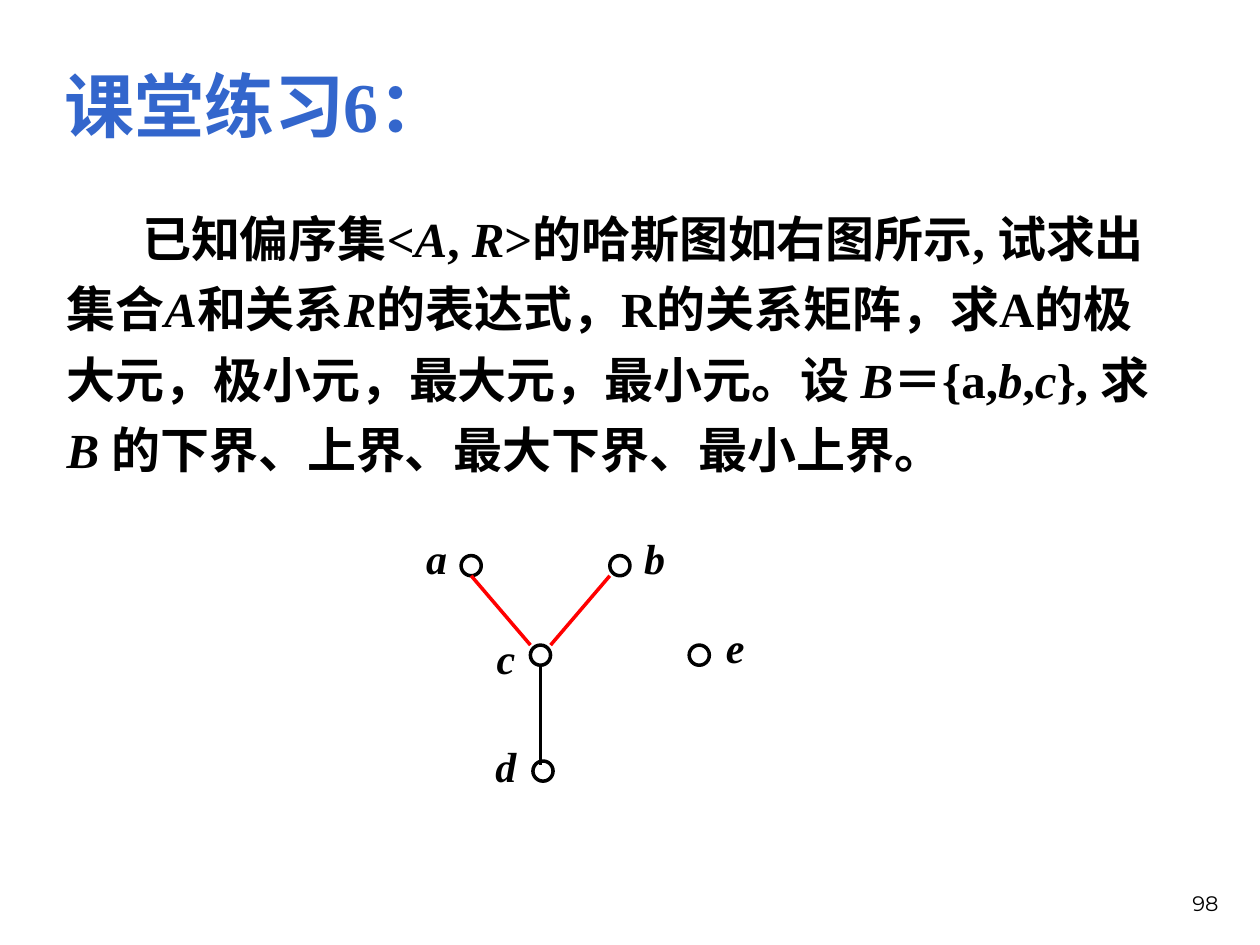
"""Build a class exercise slide with a Hasse diagram."""
from dataclasses import dataclass

from lxml import etree
from pptx import Presentation
from pptx.dml.color import RGBColor
from pptx.enum.shapes import MSO_CONNECTOR, MSO_SHAPE
from pptx.enum.text import MSO_ANCHOR, MSO_AUTO_SIZE, PP_ALIGN
from pptx.oxml.ns import qn
from pptx.util import Inches, Pt

TOP, BOTTOM = MSO_ANCHOR.TOP, MSO_ANCHOR.BOTTOM
LEFT, CENTER, RIGHT = PP_ALIGN.LEFT, PP_ALIGN.CENTER, PP_ALIGN.RIGHT
NO_AUTOFIT = MSO_AUTO_SIZE.NONE
STRAIGHT = MSO_CONNECTOR.STRAIGHT
ELLIPSE = MSO_SHAPE.OVAL

COLORS = {"title": "3366CC", "text": "000000", "red": "FF0000"}
SERIF = "Times New Roman"
TITLE_ONLY = 5
NODE_SIZE = 0.16
LABEL_SIZE = (0.39, 0.5)

FORMATS = {
    "title": {"name": SERIF, "size": Pt(40), "bold": True, "italic": False},
    "body": {"name": SERIF, "size": Pt(28), "bold": True, "italic": False},
    "label": {"name": SERIF, "size": Pt(24), "bold": True, "italic": True},
    "number": {"name": "Montserrat", "size": Pt(12), "bold": False, "italic": False},
}

EXERCISE = [
    ("已知偏序集<", False), ("A", True), (", ", False), ("R", True),
    (">的哈斯图如右图所示, 试求出集合", False), ("A", True), ("和关系", False),
    ("R", True),
    ("的表达式，R的关系矩阵，求A的极大元，极小元，最大元，最小元。设 ", False),
    ("B", True), ("＝{a,", False), ("b", True), (",", False), ("c", True),
    ("}, 求 ", False), ("B ", True),
    ("的下界、上界、最大下界、最小上界。", False),
]


@dataclass
class Node:
    """A diagram element with the corners of its circle and its label."""
    name: str
    circle: tuple[float, float]
    label: tuple[float, float]


@dataclass
class Edge:
    """A line between two points of the diagram."""
    start: tuple[float, float]
    end: tuple[float, float]
    color: str


NODES = [
    Node("a", (3.66, 4.41), (3.27, 4.18)),
    Node("b", (4.84, 4.41), (5.0, 4.18)),
    Node("c", (4.21, 5.12), (3.82, 4.97)),
    Node("d", (4.23, 6.04), (3.82, 5.83)),
    Node("e", (5.47, 5.12), (5.64, 4.88)),
]
EDGES = [
    Edge((3.74, 4.57), (4.21, 5.12), "red"),
    Edge((4.84, 4.57), (4.37, 5.12), "red"),
    Edge((4.29, 5.28), (4.29, 6.07), "text"),
]


def format_font(font, style: str, color: str = "text") -> None:
    """Apply a named text style and colour."""
    for key, value in FORMATS[style].items():
        setattr(font, key, value)
    font.color.rgb = RGBColor.from_string(COLORS[color])


def fill_frame(frame, runs, style: str, align, anchor=TOP, color: str = "text"):
    """Write styled runs into a text frame and return the paragraph."""
    for key, value in {"word_wrap": True, "auto_size": NO_AUTOFIT,
                       "vertical_anchor": anchor}.items():
        setattr(frame, key, value)
    para = frame.paragraphs[0]
    para.alignment = align
    for text, italic in runs:
        span = para.add_run()
        span.text = text
        format_font(span.font, style, color)
        span.font.italic = italic
    return para


def add_text(page, place, size, runs, style: str, align, anchor=TOP):
    """Add a text box and return its paragraph."""
    box = page.shapes.add_textbox(*map(Inches, (*place, *size)))
    return fill_frame(box.text_frame, runs, style, align, anchor)


def set_line(line, color: str) -> None:
    """Give an outline its colour and width."""
    line.color.rgb = RGBColor.from_string(COLORS[color])
    line.width = Pt(2)


def draw_node(page, node: Node) -> None:
    """Draw a node circle and its label."""
    circle = page.shapes.add_shape(
        ELLIPSE, *map(Inches, (*node.circle, NODE_SIZE, NODE_SIZE)))
    circle.shadow.inherit = False
    circle.fill.background()
    set_line(circle.line, "text")
    add_text(page, node.label, LABEL_SIZE, [(node.name, True)], "label", CENTER)


def draw_edge(page, edge: Edge) -> None:
    """Draw a diagram line without a shadow."""
    line = page.shapes.add_connector(
        STRAIGHT, *map(Inches, (*edge.start, *edge.end)))
    set_line(line.line, edge.color)
    etree.SubElement(line._element.spPr, qn("a:effectLst"))


def add_title(page) -> None:
    """Place and fill the title placeholder."""
    title = page.shapes.title
    for key, value in {"left": 0.41, "top": 0.31, "width": 3.3, "height": 0.83}.items():
        setattr(title, key, Inches(value))
    para = fill_frame(title.text_frame, [("课堂练习6：", False)], "title", LEFT,
                      color="title")
    para.line_spacing = 1.2


def main() -> None:
    """Build and save the deck."""
    deck = Presentation()
    deck.slide_width, deck.slide_height = Inches(10), Inches(7.5)
    page = deck.slides.add_slide(deck.slide_layouts[TITLE_ONLY])
    add_title(page)
    para = add_text(page, (0.43, 1.51), (8.82, 2.31), EXERCISE, "body", LEFT)
    para.line_spacing = 1.2
    para._p.get_or_add_pPr().set("indent", str(Inches(0.6)))
    for node in NODES:
        draw_node(page, node)
    for edge in EDGES:
        draw_edge(page, edge)
    add_text(page, (7.44, 6.82), (2.33, 0.5), [("98", False)], "number", RIGHT, BOTTOM)
    deck.save("out.pptx")


if __name__ == "__main__":
    main()
